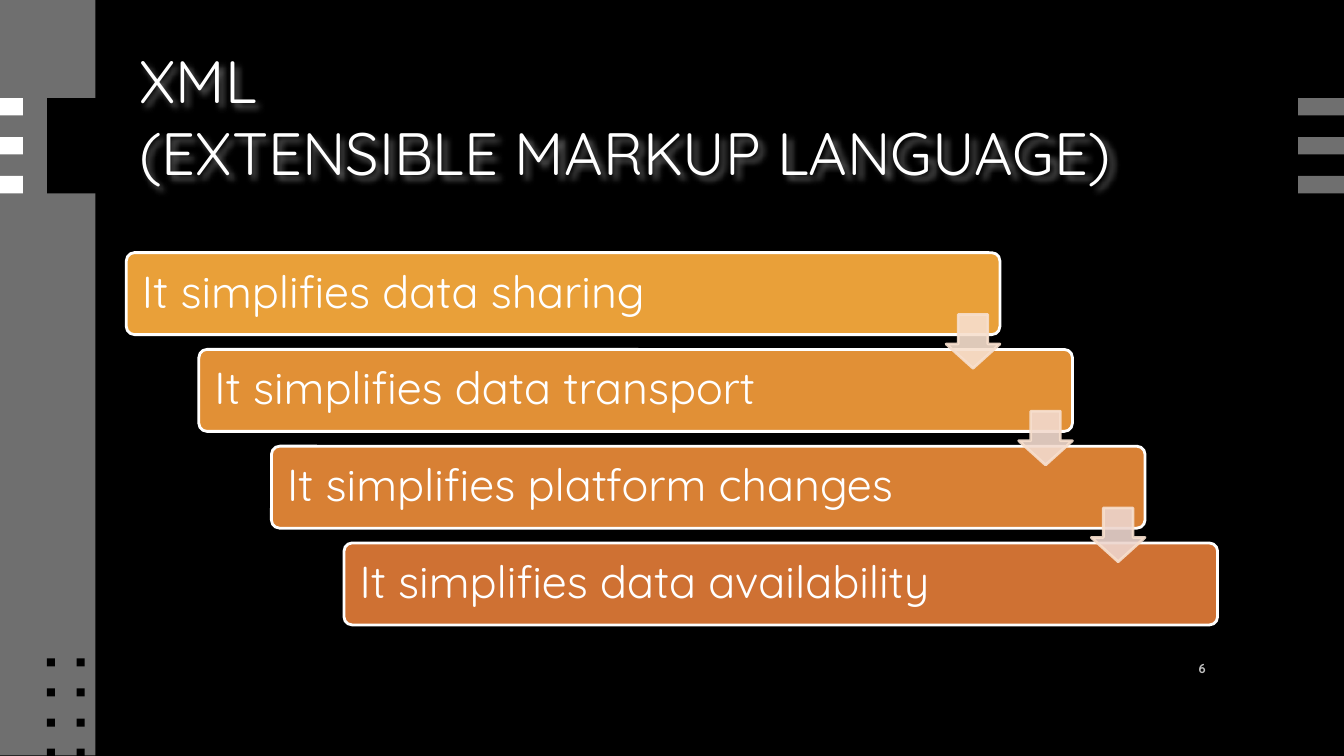
import pptx
import pptx.util
import pptx.dml.color
import pptx.enum.shapes
import pptx.enum.text
from lxml import etree

Inches, Pt = pptx.util.Inches, pptx.util.Pt
RGB = pptx.dml.color.RGBColor.from_string
SHAPE = pptx.enum.shapes.MSO_SHAPE
ANCHOR = pptx.enum.text.MSO_ANCHOR
ALIGN = pptx.enum.text.PP_ALIGN
A = "http://schemas.openxmlformats.org/drawingml/2006/main"

TITLE = "XML\v(EXTENSIBLE MARKUP LANGUAGE)"
PAGE = "6"
STEPS = [  # text, bar colour, colour of the arrow that leaves the bar
    ("It simplifies data sharing", "E9A039", "F7DFCE"),
    ("It simplifies data transport", "E19036", "F2DACE"),
    ("It simplifies platform changes", "D88034", "EDD5CE"),
    ("It simplifies data availability", "CF7133", None),
]
THEME = dict(font="Quicksand", back="000000", grey="6F6F6F", white="FFFFFF",
             number="BFBFBF", arrow_line="F7DFCE",
             title_size=32, step_size=24, number_size=7)

BAR_W, BAR_H, BAR_X, BAR_Y = 6.5, 0.61, 0.94, 1.88
STEP_X, STEP_Y = 0.54, 0.72
ARROW, ARROW_DROP = 0.4, 0.46


def add_shape(s, kind, x, y, w, h, fill, line=None, adj=()):
    sp = s.shapes.add_shape(kind, Inches(x), Inches(y), Inches(w), Inches(h))
    sp.shadow.inherit = False
    sp.fill.solid()
    sp.fill.fore_color.rgb = RGB(fill)
    if line:
        sp.line.color.rgb = RGB(line)
        sp.line.width = Pt(1.5)
    else:
        sp.line.fill.background()
    for i, value in enumerate(adj):
        sp.adjustments[i] = value
    return sp


def add_box(s, x, y, w, h):
    return s.shapes.add_textbox(Inches(x), Inches(y), Inches(w), Inches(h))


def write(sp, text, size, color=THEME["white"], bold=False, align=ALIGN.LEFT,
          spacing=0.9, insets=(0.1, 0.05, 0.1, 0.05)):
    """Fill a shape with one paragraph; insets are left, top, right, bottom."""
    tf = sp.text_frame
    tf.word_wrap = True
    tf.vertical_anchor = ANCHOR.MIDDLE
    (tf.margin_left, tf.margin_top,
     tf.margin_right, tf.margin_bottom) = map(Inches, insets)
    p = tf.paragraphs[0]
    p.text = text
    p.alignment = align
    p.line_spacing = spacing
    for r in p.runs:
        r.font.name = THEME["font"]
        r.font.size = Pt(size)
        r.font.bold = bold
        r.font.color.rgb = RGB(color)


def add_glow_shadow(sp):
    """Give the text of an unfilled box a soft light shadow."""
    sp.shadow.inherit = False
    effects = sp._element.spPr.find(f"{{{A}}}effectLst")
    shadow = etree.SubElement(effects, f"{{{A}}}outerShdw",
                              blurRad="38100", dist="38100", dir="2700000")
    color = etree.SubElement(shadow, f"{{{A}}}srgbClr", val=THEME["white"])
    etree.SubElement(color, f"{{{A}}}alpha", val="40000")


def set_alpha(sp, percent):
    for color in sp._element.spPr.iter(f"{{{A}}}srgbClr"):
        etree.SubElement(color, f"{{{A}}}alpha", val=str(percent * 1000))


def add_decoration(s):
    add_shape(s, SHAPE.RECTANGLE, 0, 0, 0.71, 5.62, THEME["grey"])
    add_shape(s, SHAPE.RECTANGLE, 0.35, 0.73, 8.95, 0.71, THEME["back"])
    for x, w, color in [(0, 0.17, THEME["white"]), (9.66, 0.34, THEME["grey"])]:
        for row in range(3):
            add_shape(s, SHAPE.RECTANGLE, x, 0.73 + 0.29 * row, w, 0.13, color)
    for row in range(4):
        for col in range(2):
            add_shape(s, SHAPE.RECTANGLE, 0.35 + 0.22 * col, 4.9 + 0.67 / 3 * row,
                      0.06, 0.06, THEME["back"])


def add_steps(s):
    for i, (text, fill, _) in enumerate(STEPS):
        bar = add_shape(s, SHAPE.ROUNDED_RECTANGLE, BAR_X + STEP_X * i, BAR_Y + STEP_Y * i,
                        BAR_W, BAR_H, fill, THEME["white"], [0.1])
        write(bar, text, THEME["step_size"], insets=(0.1, 0.1, 0.1, 0.1))
    for i, (_, _, fill) in enumerate(STEPS[:-1]):
        arrow = add_shape(s, SHAPE.DOWN_ARROW, BAR_X + BAR_W - ARROW + STEP_X * i,
                          BAR_Y + ARROW_DROP + STEP_Y * i, ARROW, ARROW,
                          fill, THEME["arrow_line"], [0.55, 0.45])
        set_alpha(arrow, 90)


def main():
    prs = pptx.Presentation()
    prs.slide_width = Inches(10)
    prs.slide_height = prs.slide_width * 9 // 16
    s = prs.slides.add_slide(prs.slide_layouts[6])
    s.background.fill.solid()
    s.background.fill.fore_color.rgb = RGB(THEME["back"])

    add_decoration(s)
    title = add_box(s, 0.94, 0.5, 8.12, 1.2)
    write(title, TITLE, THEME["title_size"], spacing=1, insets=(0.1, 0.05, 0.1, 0.53))
    add_glow_shadow(title)
    write(add_box(s, 8.62, 4.83, 0.45, 0.3), PAGE, THEME["number_size"],
          THEME["number"], bold=True, align=ALIGN.RIGHT)
    add_steps(s)
    prs.save("out.pptx")


if __name__ == "__main__":
    main()
